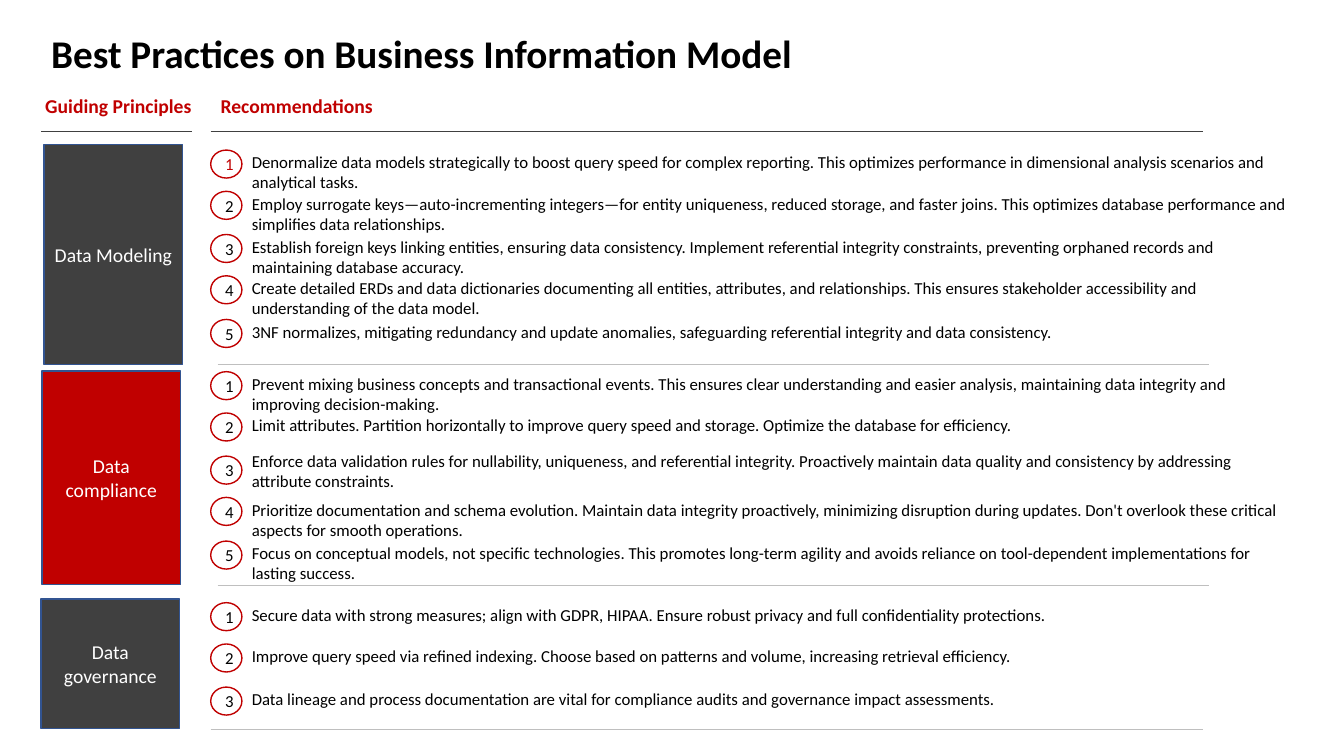
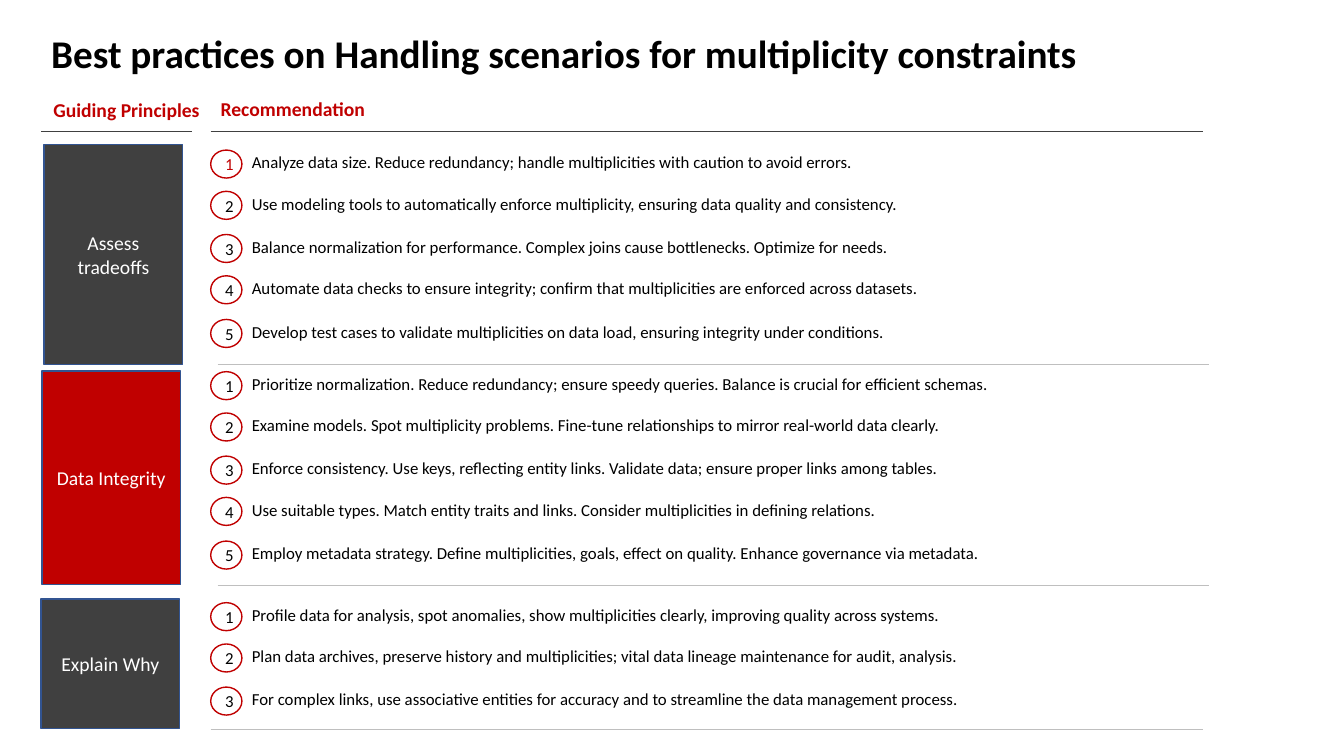
"""Build two slides of guiding principles with numbered recommendations."""
from dataclasses import dataclass

from lxml import etree
from pptx import Presentation, slide as sl, util as u
from pptx.dml import color
from pptx.enum import shapes, text
from pptx.oxml import ns
from pptx.shapes import autoshape
from pptx.text import text as txt

BLACK, WHITE, RED = "000000", "FFFFFF", "C00000"
CHARCOAL, GREY, NAVY = "404040", "BFBFBF", "325491"

TITLE = {"name": "Calibri", "size": u.Pt(28), "bold": True}
HEADING = {"name": "Calibri", "size": u.Pt(14), "bold": True}
PRINCIPLE = {"name": "Calibri", "size": u.Pt(14)}
BODY = {"name": "Calibri", "size": u.Pt(12)}

BADGE_LEFT, BADGE_WIDTH, BADGE_HEIGHT = 150.5, 22.3, 20
ADVICE_LEFT, ADVICE_WIDTH, ADVICE_HEIGHT, ADVICE_RISE = 172.8, 756, 21.8, 2.2
ROW_OFFSETS = (0, 29.5, 60.3, 89.8, 121)


@dataclass(frozen=True)
class Box:
    left: float
    top: float
    width: float
    height: float

    def lengths(self) -> list[u.Length]:
        return [u.Pt(side) for side in (self.left, self.top, self.width, self.height)]


@dataclass(frozen=True)
class Rule:
    left: float
    right: float
    y: float
    colour: str


@dataclass(frozen=True)
class Band:
    panel: Box
    fill: str
    first_badge: float


@dataclass(frozen=True)
class Advice:
    wording: str
    shift: float = 0


@dataclass(frozen=True)
class Section:
    principle: str
    advice: tuple[Advice, ...]


@dataclass(frozen=True)
class Page:
    title: str
    title_width: float
    principles_at: tuple[float, float]
    advice_heading: str
    advice_heading_top: float
    sections: tuple[Section, ...]


BANDS = (
    Band(Box(31.5, 103.2, 99, 157), CHARCOAL, 107.2),
    Band(Box(30, 265, 99, 152.6), RED, 265.5),
    Band(Box(29.3, 427.8, 99, 92.4), CHARCOAL, 430.5),
)

RULES = (
    Rule(29.5, 137, 94, CHARCOAL),
    Rule(150.5, 859, 94, CHARCOAL),
    Rule(155.5, 863.5, 260, GREY),
    Rule(155.5, 863.5, 417.8, GREY),
    Rule(150.5, 859, 521.3, GREY),
)

PAGES = (
    Page(
        "Best Practices on Business Information Model", 646, (25.2, 63.4),
        "Recommendations", 63.4,
        (
            Section("Data Modeling", (
                Advice("Denormalize data models strategically to boost query speed for complex reporting. "
                       "This optimizes performance in dimensional analysis scenarios and analytical tasks."),
                Advice("Employ surrogate keys—auto-incrementing integers—for entity uniqueness, reduced storage, "
                       "and faster joins. This optimizes database performance and simplifies data relationships."),
                Advice("Establish foreign keys linking entities, ensuring data consistency. Implement referential "
                       "integrity constraints, preventing orphaned records and maintaining database accuracy."),
                Advice("Create detailed ERDs and data dictionaries documenting all entities, attributes, and "
                       "relationships. This ensures stakeholder accessibility and understanding of the data model."),
                Advice("3NF normalizes, mitigating redundancy and update anomalies, safeguarding referential "
                       "integrity and data consistency."),
            )),
            Section("Data compliance", (
                Advice("Prevent mixing business concepts and transactional events. This ensures clear understanding "
                       "and easier analysis, maintaining data integrity and improving decision-making."),
                Advice("Limit attributes. Partition horizontally to improve query speed and storage. "
                       "Optimize the database for efficiency."),
                Advice("Enforce data validation rules for nullability, uniqueness, and referential integrity. "
                       "Proactively maintain data quality and consistency by addressing attribute constraints.", -5.5),
                Advice("Prioritize documentation and schema evolution. Maintain data integrity proactively, minimizing "
                       "disruption during updates. Don't overlook these critical aspects for smooth operations."),
                Advice("Focus on conceptual models, not specific technologies. This promotes long-term agility and "
                       "avoids reliance on tool-dependent implementations for lasting success."),
            )),
            Section("Data governance", (
                Advice("Secure data with strong measures; align with GDPR, HIPAA. "
                       "Ensure robust privacy and full confidentiality protections."),
                Advice("Improve query speed via refined indexing. Choose based on patterns and volume, "
                       "increasing retrieval efficiency."),
                Advice("Data lineage and process documentation are vital for compliance audits "
                       "and governance impact assessments."),
            )),
        ),
    ),
    Page(
        "Best practices on Handling scenarios for multiplicity constraints", 866, (31, 66.2),
        "Recommendation", 65.5,
        (
            Section("Assess tradeoffs", (
                Advice("Analyze data size. Reduce redundancy; handle multiplicities with caution to avoid errors."),
                Advice("Use modeling tools to automatically enforce multiplicity, "
                       "ensuring data quality and consistency."),
                Advice("Balance normalization for performance. Complex joins cause bottlenecks. Optimize for needs."),
                Advice("Automate data checks to ensure integrity; "
                       "confirm that multiplicities are enforced across datasets."),
                Advice("Develop test cases to validate multiplicities on data load, "
                       "ensuring integrity under conditions."),
            )),
            Section("Data Integrity", (
                Advice("Prioritize normalization. Reduce redundancy; ensure speedy queries. "
                       "Balance is crucial for efficient schemas."),
                Advice("Examine models. Spot multiplicity problems. "
                       "Fine-tune relationships to mirror real-world data clearly."),
                Advice("Enforce consistency. Use keys, reflecting entity links. "
                       "Validate data; ensure proper links among tables."),
                Advice("Use suitable types. Match entity traits and links. "
                       "Consider multiplicities in defining relations."),
                Advice("Employ metadata strategy. Define multiplicities, goals, effect on quality. "
                       "Enhance governance via metadata."),
            )),
            Section("Explain Why", (
                Advice("Profile data for analysis, spot anomalies, show multiplicities clearly, "
                       "improving quality across systems."),
                Advice("Plan data archives, preserve history and multiplicities; "
                       "vital data lineage maintenance for audit, analysis."),
                Advice("For complex links, use associative entities for accuracy "
                       "and to streamline the data management process."),
            )),
        ),
    ),
)


def rgb(value: str) -> color.RGBColor:
    return color.RGBColor.from_string(value)


def write(frame: txt.TextFrame, wording: str, style: dict, colour: str) -> None:
    frame.word_wrap = True
    run = frame.paragraphs[0].add_run()
    run.text = wording
    for attribute, value in style.items():
        setattr(run.font, attribute, value)
    run.font.color.rgb = rgb(colour)


def add_label(slide: sl.Slide, box: Box, wording: str, style: dict, colour: str = BLACK) -> None:
    frame = slide.shapes.add_textbox(*box.lengths()).text_frame
    frame.auto_size = text.MSO_AUTO_SIZE.SHAPE_TO_FIT_TEXT
    write(frame, wording, style, colour)


def add_panel(slide: sl.Slide, kind: shapes.MSO_SHAPE, box: Box, fill: str, outline: str) -> autoshape.Shape:
    panel = slide.shapes.add_shape(kind, *box.lengths())
    panel.shadow.inherit = False
    panel.fill.solid()
    panel.fill.fore_color.rgb = rgb(fill)
    panel.line.color.rgb = rgb(outline)
    panel.line.width = u.Pt(1)
    panel.text_frame.vertical_anchor = text.MSO_ANCHOR.MIDDLE
    panel.text_frame.paragraphs[0].alignment = text.PP_ALIGN.CENTER
    return panel


def add_rule(slide: sl.Slide, rule: Rule) -> None:
    ends = [u.Pt(end) for end in (rule.left, rule.y, rule.right, rule.y)]
    line = slide.shapes.add_connector(shapes.MSO_CONNECTOR.STRAIGHT, *ends)
    line.line.color.rgb = rgb(rule.colour)
    line.line.width = u.Pt(0.5)
    etree.SubElement(line._element.spPr, ns.qn("a:effectLst"))


def add_section(slide: sl.Slide, band: Band, section: Section) -> None:
    panel = add_panel(slide, shapes.MSO_SHAPE.RECTANGLE, band.panel, band.fill, NAVY)
    write(panel.text_frame, section.principle, PRINCIPLE, WHITE)
    for number, (offset, advice) in enumerate(zip(ROW_OFFSETS, section.advice), start=1):
        top = band.first_badge + offset
        badge_box = Box(BADGE_LEFT, top, BADGE_WIDTH, BADGE_HEIGHT)
        badge = add_panel(slide, shapes.MSO_SHAPE.OVAL, badge_box, WHITE, RED)
        opens_page = number == 1 and band is BANDS[0]
        write(badge.text_frame, str(number), BODY, RED if opens_page else BLACK)
        advice_box = Box(ADVICE_LEFT, top - ADVICE_RISE + advice.shift, ADVICE_WIDTH, ADVICE_HEIGHT)
        add_label(slide, advice_box, advice.wording, BODY)


def add_page(deck: Presentation, page: Page) -> None:
    slide = deck.slides.add_slide(deck.slide_layouts[6])
    add_label(slide, Box(29.5, 17.3, page.title_width, 41), page.title, TITLE)
    add_label(slide, Box(*page.principles_at, 122, 24.5), "Guiding Principles", HEADING, RED)
    add_label(slide, Box(150.5, page.advice_heading_top, 717, 24.5), page.advice_heading, HEADING, RED)
    for rule in RULES:
        add_rule(slide, rule)
    for band, section in zip(BANDS, page.sections):
        add_section(slide, band, section)


def main() -> None:
    deck = Presentation()
    deck.slide_width, deck.slide_height = u.Pt(960), u.Pt(540)
    for page in PAGES:
        add_page(deck, page)
    deck.save("out.pptx")


if __name__ == "__main__":
    main()
